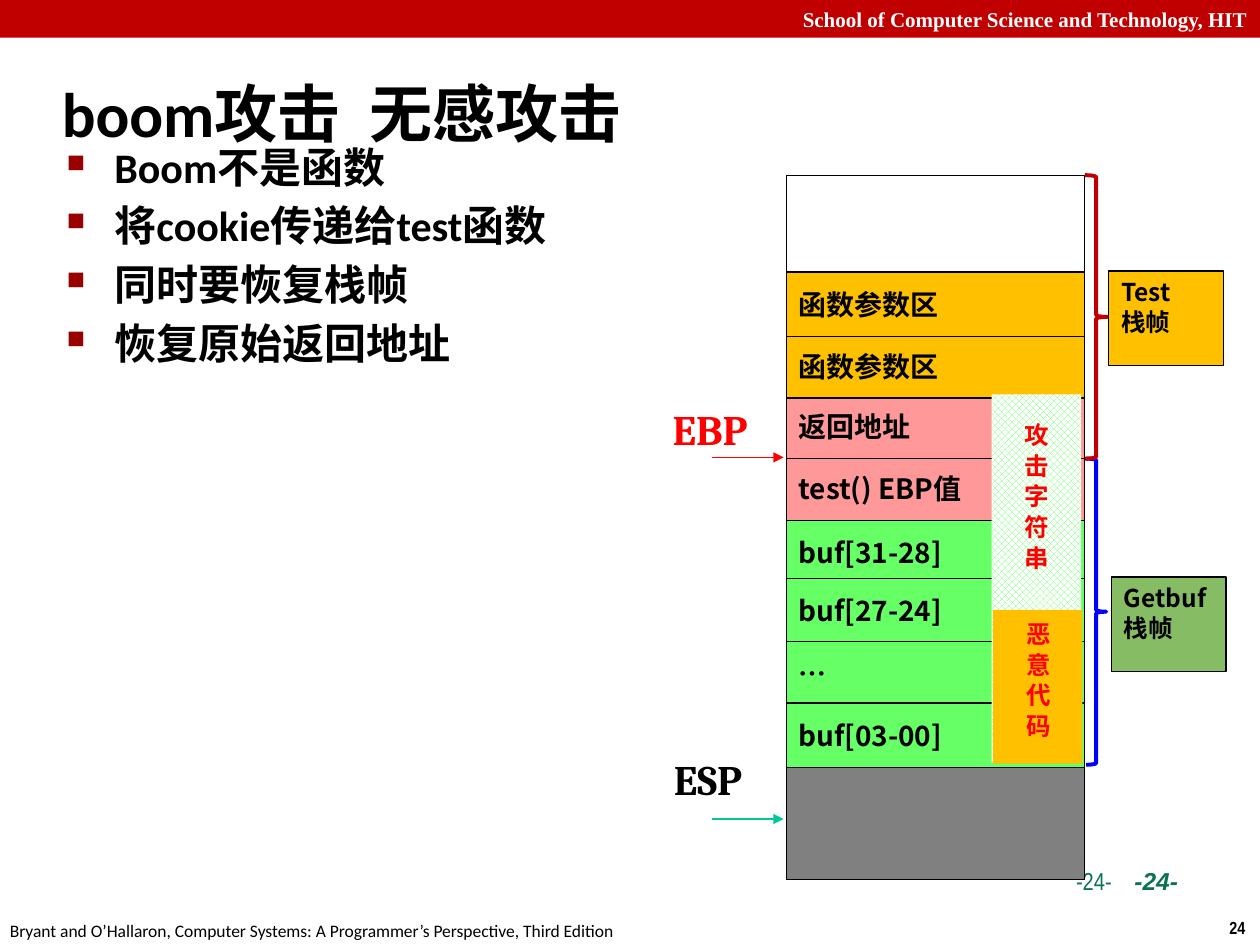
from lxml import etree
from pptx import Presentation
from pptx import util as u
from pptx.dml.color import RGBColor
from pptx.enum import dml, shapes, text
from pptx.oxml.ns import qn

COLORS = {
    "black": "000000", "white": "FFFFFF", "red": "FF0000", "blue": "0000FF",
    "banner": "C00000", "bullet": "990000", "number": "0D7157", "gray": "808080",
    "pink": "FF9999", "green": "66FF66", "amber": "FFC000", "olive": "86BC64",
    "teal": "00C896",
}
CJK = "Noto Sans CJK SC"
TITLE = "boom攻击  无感攻击"
BANNER = "School of Computer Science and Technology, HIT"
FOOTER = "Bryant and O’Hallaron, Computer Systems: A Programmer’s Perspective, Third Edition"
BULLETS = ["Boom不是函数", "将cookie传递给test函数", "同时要恢复栈帧", "恢复原始返回地址"]
STACK_LEFT, STACK_WIDTH, CELL_HEIGHT = 6.24, 2.37, 0.51
STACK_ENDS = [(3.64, 3.34, "gray"), (1.39, 2.25, "white")]
STACK_CELLS = [
    ("test() EBP值", 3.62, "pink"),
    ("buf[31-28]", 4.13, "green"),
    ("buf[27-24]", 4.59, "green"),
    ("…", 5.09, "green"),
    ("buf[03-00]", 5.58, "green"),
    ("返回地址", 3.13, "pink"),
    ("函数参数区", 2.65, "amber"),
    ("函数参数区", 2.16, "amber"),
]
REGISTERS = [("EBP", 5.24, 3.15, "red", 3.63, "red"),
             ("ESP", 5.25, 5.93, "black", 6.5, "teal")]
FRAMES = [
    (["Getbuf栈帧"], (8.82, 4.58, 0.91, 0.75), "olive", (8.62, 3.64, 0.16, 2.43), "blue"),
    (["Test", "栈帧"], (8.8, 2.15, 0.91, 0.75), "amber", (8.61, 1.39, 0.18, 2.25), "banner"),
]
PAGE_NUMBERS = [("Arial Narrow", False, text.PP_ALIGN.LEFT),
                ("Arial", True, text.PP_ALIGN.RIGHT)]
PAYLOADS = [
    ("攻 击 字 符 串", (7.87, 3.13, 0.71, 2.92), None, text.PP_ALIGN.LEFT, 0.13),
    ("恶 意 代 码", (7.88, 4.84, 0.71, 1.22), "amber", text.PP_ALIGN.CENTER, 0),
]


def rgb(name):
    return RGBColor.from_string(COLORS[name])


def write(shape, lines, size, font=CJK, color="black", bold=True, italic=False,
          align=text.PP_ALIGN.LEFT, anchor=text.MSO_ANCHOR.TOP, wrap=True):
    frame = shape.text_frame
    frame.word_wrap = wrap
    frame.auto_size = text.MSO_AUTO_SIZE.NONE
    frame.vertical_anchor = anchor
    for index, line in enumerate(lines):
        paragraph = frame.add_paragraph() if index else frame.paragraphs[0]
        paragraph.alignment = align
        run = paragraph.add_run()
        run.text = line
        run.font.size = u.Pt(size)
        run.font.bold = bold
        run.font.italic = italic
        run.font.color.rgb = rgb(color)
        run.font.name = font
        east_asian = etree.SubElement(run.font._element, qn("a:ea"))
        east_asian.set("typeface", CJK)
    return frame


def add_box(slide, box, fill=None, line=None, width=0.75, kind=shapes.MSO_SHAPE.RECTANGLE):
    shape = slide.shapes.add_shape(kind, *map(u.Inches, box))
    shape.shadow.inherit = False
    if fill:
        shape.fill.solid()
        shape.fill.fore_color.rgb = rgb(fill)
    else:
        shape.fill.background()
    if line:
        shape.line.color.rgb = rgb(line)
        shape.line.width = u.Pt(width)
    else:
        shape.line.fill.background()
    return shape


def add_text(slide, box, lines, size, **style):
    shape = slide.shapes.add_textbox(*map(u.Inches, box))
    return write(shape, lines, size, **style)


def add_bullet(paragraph):
    paragraph.space_before = u.Pt(4.8)
    properties = paragraph._p.get_or_add_pPr()
    properties.set("marL", str(u.Inches(0.38)))
    properties.set("indent", str(-u.Inches(0.38)))
    color = etree.SubElement(properties, qn("a:buClr"))
    etree.SubElement(color, qn("a:srgbClr")).set("val", COLORS["bullet"])
    etree.SubElement(properties, qn("a:buSzPct")).set("val", "60000")
    etree.SubElement(properties, qn("a:buChar")).set("char", "■")


def add_arrow(slide, y, color):
    arrow = slide.shapes.add_connector(
        shapes.MSO_CONNECTOR.STRAIGHT, *map(u.Inches, (5.65, y, 6.22, y)))
    arrow.line.color.rgb = rgb(color)
    arrow.line.width = u.Pt(0.75)
    etree.SubElement(arrow.line._get_or_add_ln(), qn("a:tailEnd")).set("type", "triangle")
    etree.SubElement(arrow._element.spPr, qn("a:effectLst"))


def add_frame_text(slide):
    add_text(slide, (9.66, 7.23, 0.34, 0.27), ["24"], 10, font="Arial Narrow", wrap=False)
    add_text(slide, (-0.02, 7.25, 5.08, 0.27), [FOOTER], 10, font="Calibri",
             bold=False, wrap=False)
    write(add_box(slide, (0, 0, 10, 0.3), "banner"), [BANNER], 12,
          font="Times New Roman", color="white", align=text.PP_ALIGN.RIGHT)
    title = slide.shapes.title
    title.left, title.top, title.width, title.height = map(u.Inches, (0.39, 0.48, 9.61, 0.83))
    write(title, [TITLE], 36, font="Calibri", anchor=text.MSO_ANCHOR.MIDDLE)
    body = add_text(slide, (0.43, 1.07, 4.33, 5.51), BULLETS, 24, font="Calibri")
    for paragraph in body.paragraphs:
        add_bullet(paragraph)
    for font, strong, align in PAGE_NUMBERS:
        number = add_text(slide, (8.39, 6.82, 1.11, 0.52), ["-24-"], 14, font=font,
                          color="number", bold=strong, italic=strong, align=align)
        number.margin_left = number.margin_right = u.Inches(0.15)


def add_stack(slide):
    for top, height, fill in STACK_ENDS:
        add_box(slide, (STACK_LEFT, top, STACK_WIDTH, height), fill, "black")
    for name, left, top, color, arrow_y, arrow_color in REGISTERS:
        add_text(slide, (left, top, 1, 0.5), [name], 24, font="Cambria", color=color)
        add_arrow(slide, arrow_y, arrow_color)
    for label, top, fill in STACK_CELLS:
        cell = add_box(slide, (STACK_LEFT, top, STACK_WIDTH, CELL_HEIGHT), fill, "black")
        write(cell, [label], 16, anchor=text.MSO_ANCHOR.MIDDLE)
    for lines, box, fill, brace, brace_color in FRAMES:
        add_box(slide, brace, None, brace_color, 2.25, shapes.MSO_SHAPE.RIGHT_BRACE)
        write(add_box(slide, box, fill, "black"), lines, 14)


def add_payloads(slide):
    for label, box, fill, align, indent in PAYLOADS:
        payload = add_box(slide, box, fill)
        if fill is None:
            payload.fill.patterned()
            payload.fill.pattern = dml.MSO_PATTERN.LARGE_CHECKER_BOARD
            payload.fill.fore_color.rgb = rgb("green")
            payload.fill.back_color.rgb = rgb("white")
        frame = write(payload, [label], 14, color="red", align=align,
                      anchor=text.MSO_ANCHOR.MIDDLE)
        frame._txBody.bodyPr.set("vert", "eaVert")
        frame.paragraphs[0]._p.get_or_add_pPr().set("marL", str(u.Inches(indent)))


def main():
    presentation = Presentation()
    presentation.slide_width, presentation.slide_height = u.Inches(10), u.Inches(7.5)
    slide = presentation.slides.add_slide(presentation.slide_layouts[5])
    add_frame_text(slide)
    add_stack(slide)
    add_payloads(slide)
    presentation.save("out.pptx")


if __name__ == "__main__":
    main()
